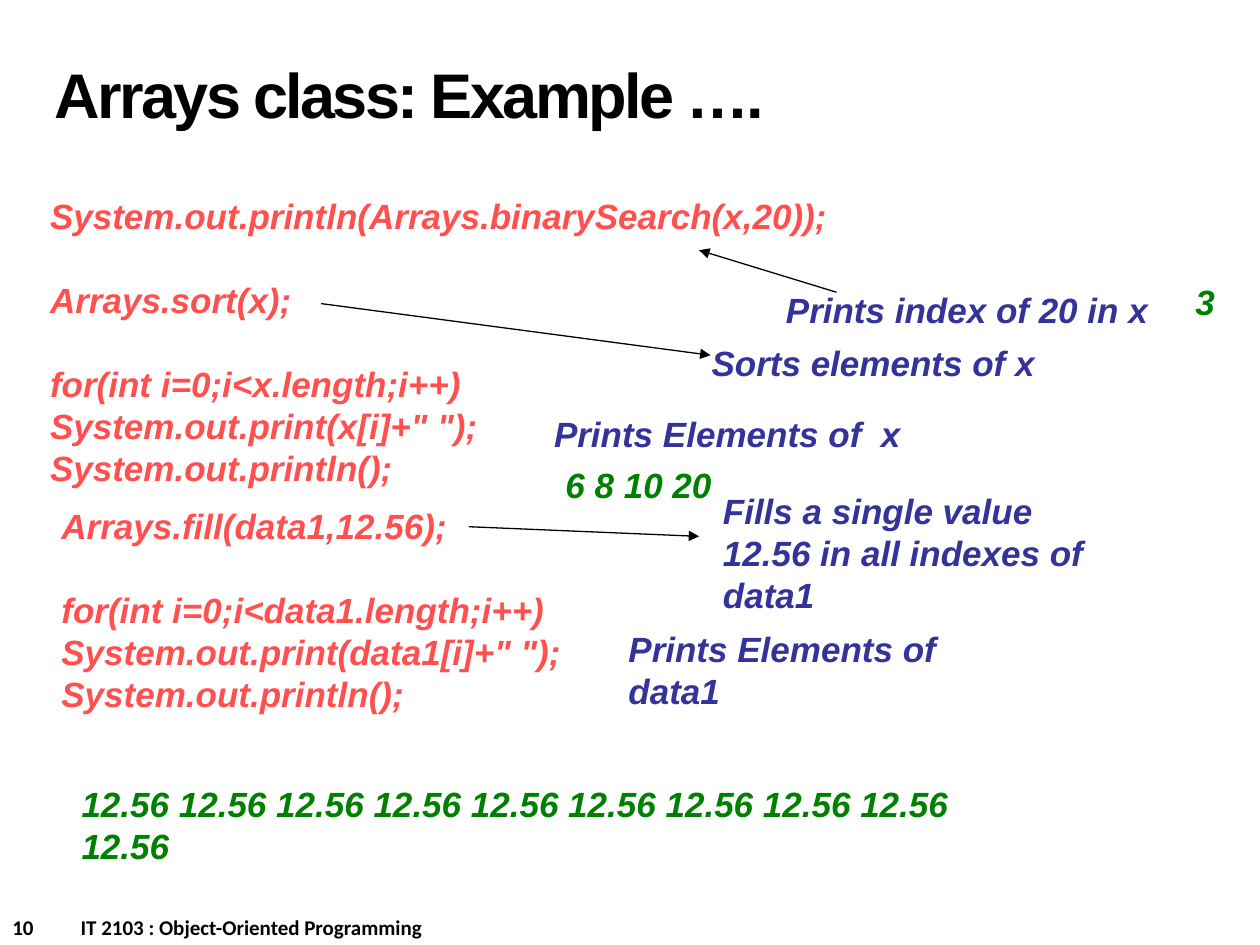
from lxml.etree import SubElement
from pptx import Presentation
from pptx.dml.color import RGBColor
from pptx.enum.shapes import MSO_CONNECTOR
from pptx.enum.text import MSO_ANCHOR, PP_ALIGN
from pptx.oxml.ns import qn
from pptx.util import Pt

BLACK = RGBColor(0x00, 0x00, 0x00)
CODE_RED = RGBColor(0xFF, 0x50, 0x50)
NOTE_BLUE = RGBColor(0x33, 0x33, 0x99)
OUTPUT_GREEN = RGBColor(0x00, 0x80, 0x00)

BLOCK_GAP = 24
LINE_HEIGHT = 31

SEARCH_AND_SORT = [
    ["System.out.println(Arrays.binarySearch(x,20));"],
    ["Arrays.sort(x);"],
    ["for(int i=0;i<x.length;i++)", 'System.out.print(x[i]+" ");', "System.out.println();"],
]
FILL_AND_PRINT = [
    ["Arrays.fill(data1,12.56);"],
    ["for(int i=0;i<data1.length;i++)", 'System.out.print(data1[i]+" ");', "System.out.println();"],
]
NOTES = [
    ("Prints index of 20 in x", 442, 161.5, LINE_HEIGHT),
    ("Sorts elements of x", 399.5, 191.5, LINE_HEIGHT),
    ("Prints Elements of  x", 309.5, 232, LINE_HEIGHT),
    ("Fills a single value 12.56 in all indexes of data1", 406, 276, 79),
    ("Prints Elements of data1", 352, 355, 55),
]
OUTPUTS = [
    ("3", 676, 157, 30, True),
    ("6 8 10 20", 316, 261.5, 98, False),
    (" ".join(["12.56"] * 10), 39.5, 443.5, 564, True),
]
ARROWS = [
    ((478, 167), (399.5, 143)),
    ((183.5, 173.5), (406, 203)),
    ((268, 301), (399.5, 306.5)),
]


def style(paragraph, color, size=20, font_name="Arial", italic=True):
    for run in paragraph.runs:
        run.font.name = font_name
        run.font.size = Pt(size)
        run.font.bold = True
        run.font.italic = italic
        run.font.color.rgb = color


def add_text(slide, text, left, top, width, height, color, wrap=True):
    frame = slide.shapes.add_textbox(Pt(left), Pt(top), Pt(width), Pt(height)).text_frame
    frame.word_wrap = wrap
    frame.text = text
    for paragraph in frame.paragraphs:
        style(paragraph, color)
    return frame


def add_code(slide, blocks, left, top, width, height):
    text = "\n".join(line for block in blocks for line in block)
    frame = add_text(slide, text, left, top, width, height, CODE_RED)
    start = 0
    for block in blocks[:-1]:
        start += len(block)
        frame.paragraphs[start].space_before = Pt(BLOCK_GAP)


def add_arrow(slide, start, end):
    arrow = slide.shapes.add_connector(
        MSO_CONNECTOR.STRAIGHT, *(Pt(value) for value in start + end))
    arrow.line.color.rgb = BLACK
    arrow.line.width = Pt(0.75)
    properties = arrow._element.spPr
    SubElement(properties.find(qn("a:ln")), qn("a:tailEnd"), type="triangle")
    SubElement(properties, qn("a:effectLst"))


def set_title(slide, text):
    title = slide.shapes.title
    title.left, title.top, title.width, title.height = Pt(24), Pt(12), Pt(498), Pt(90)
    frame = title.text_frame
    frame.text = text
    frame.vertical_anchor = MSO_ANCHOR.MIDDLE
    heading = frame.paragraphs[0]
    heading.alignment = PP_ALIGN.LEFT
    heading.line_spacing = Pt(36)
    style(heading, BLACK, size=36, italic=False)
    heading.runs[0].font._element.set("spc", "-150")


def add_footer(slide, number, course):
    frame = add_text(slide, f"{number}\t{course}", 0, 519, 360, 22, BLACK)
    footer = frame.paragraphs[0]
    tabs = SubElement(footer._p.get_or_add_pPr(), qn("a:tabLst"))
    SubElement(tabs, qn("a:tab"), pos=str(Pt(39)), algn="l")
    style(footer, BLACK, size=12, font_name="Calibri", italic=False)


def main():
    deck = Presentation()
    deck.slide_width, deck.slide_height = Pt(720), Pt(540)
    slide = deck.slides.add_slide(deck.slide_layouts[5])
    set_title(slide, "Arrays class: Example ….")
    add_footer(slide, 10, "IT 2103 : Object-Oriented Programming")
    add_code(slide, SEARCH_AND_SORT, 21.5, 107.5, 522, 175)
    add_code(slide, FILL_AND_PRINT, 28, 285, 360, 127.5)
    for note, left, top, height in NOTES:
        add_text(slide, note, left, top, 234, height, NOTE_BLUE)
    for output, left, top, width, wrap in OUTPUTS:
        add_text(slide, output, left, top, width, LINE_HEIGHT, OUTPUT_GREEN, wrap)
    for start, end in ARROWS:
        add_arrow(slide, start, end)
    deck.save("out.pptx")


if __name__ == "__main__":
    main()
